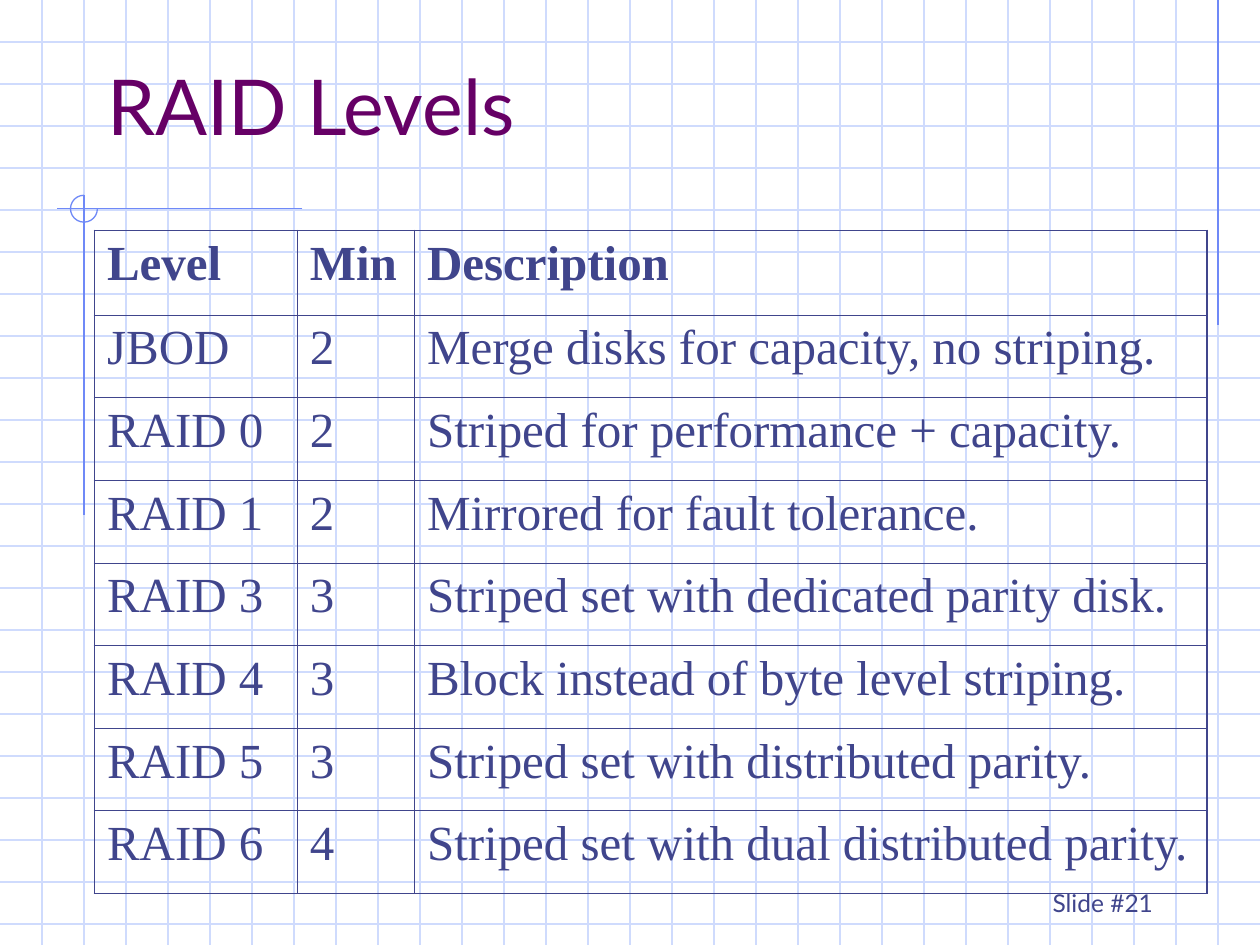
from typing import NamedTuple

from lxml.etree import SubElement
from pptx import Presentation
from pptx.dml.color import RGBColor as RGB
from pptx.enum.shapes import MSO_CONNECTOR as CONN, MSO_SHAPE as SHAPE
from pptx.enum.text import MSO_ANCHOR as ANCHOR, MSO_AUTO_SIZE as AUTO, PP_ALIGN as ALIGN
from pptx.oxml.ns import qn
from pptx.util import Inches, Pt

COLS, ROWS = 30, 22.5
GRID, ACCENT, INK, PLUM = "CFDBFD", "6F89F7", "40458C", "660066"
SANS, SERIF = "Lato", "Times New Roman"
THIN, THICK = 0.45, 1.08


class Rule(NamedTuple):
    """A straight line between two points, in grid columns and rows."""
    x1: float
    y1: float
    x2: float
    y2: float
    color: str


class Level(NamedTuple):
    """One row of the table."""
    name: str
    minimum: str
    description: str


GRID_RULES = [
    *(Rule(0, row, COLS, row, GRID) for row in range(1, 23)),
    *(Rule(col, 0, col, ROWS, GRID) for col in range(1, COLS)),
]
ACCENT_RULES = [
    Rule(29, 0, 29, 7.75, ACCENT),
    Rule(7.2, 4.97, 1.35, 4.97, ACCENT),
    Rule(2, 4.65, 2, 12.27, ACCENT),
]
LEVELS = [
    Level("Level", "Min", "Description"),
    Level("JBOD", "2", "Merge disks for capacity, no striping."),
    Level("RAID 0", "2", "Striped for performance + capacity."),
    Level("RAID 1", "2", "Mirrored for fault tolerance."),
    Level("RAID 3", "3", "Striped set with dedicated parity disk."),
    Level("RAID 4", "3", "Block instead of byte level striping."),
    Level("RAID 5", "3", "Striped set with distributed parity."),
    Level("RAID 6", "4", "Striped set with dual distributed parity."),
]


def rgb(value: str) -> RGB:
    return RGB.from_string(value)


def cells(n: float) -> int:
    return Inches(n / 3)


def style(p, text: str, size: float, font: str, color: str, bold: bool = False) -> None:
    p.text = text
    p.font.size, p.font.name, p.font.bold = Pt(size), font, bold
    p.font.color.rgb = rgb(color)


def draw_rule(s, rule: Rule) -> None:
    sp = s.shapes.add_connector(CONN.STRAIGHT, *map(cells, rule[:4]))
    sp.line.color.rgb = rgb(rule.color)
    sp.line.width = Pt(0.75)
    SubElement(sp.element.spPr, qn("a:effectLst"))


def draw_arc(s) -> None:
    sp = s.shapes.add_shape(SHAPE.ARC, *map(cells, (1.68, 4.65, 0.64, 0.64)))
    sp.adjustments[0], sp.adjustments[1] = 0, 162
    sp.shadow.inherit = False
    sp.fill.background()
    sp.line.color.rgb = rgb(ACCENT)
    sp.line.width = Pt(0.75)


def draw_border(cell, side: str, width: float) -> None:
    ln = SubElement(cell._tc.get_or_add_tcPr(), qn(f"a:ln{side}"), w=str(Pt(width)))
    SubElement(SubElement(ln, qn("a:solidFill")), qn("a:srgbClr"), val=INK)


def draw_table(s, levels: list[Level]) -> None:
    widths = (1.61, 0.93, 6.29)
    heights = [0.67] + [0.656] * (len(levels) - 1)
    table = s.shapes.add_table(len(levels), len(widths), Inches(0.75), Inches(1.83),
                               Inches(sum(widths)), Inches(sum(heights))).table
    table.first_row = table.horz_banding = False
    for column, width in zip(table.columns, widths):
        column.width = Inches(width)
    for i, (level, height) in enumerate(zip(levels, heights)):
        table.rows[i].height = Inches(height)
        for j, text in enumerate(level):
            cell = table.cell(i, j)
            outer = {"L": j == 0, "R": j == len(widths) - 1,
                     "T": i == 0, "B": i == len(levels) - 1}
            for side, is_outer in outer.items():
                draw_border(cell, side, THICK if is_outer else THIN)
            cell.fill.background()
            style(cell.text_frame.paragraphs[0], text, 28, SERIF, INK, bold=i == 0)


def draw_title(s, text: str) -> None:
    sp = s.shapes.title
    sp.left, sp.top, sp.width, sp.height = map(Inches, (0.75, 0.25, 8.5, 1))
    tf = sp.text_frame
    tf.auto_size, tf.vertical_anchor = AUTO.NONE, ANCHOR.BOTTOM
    p = tf.paragraphs[0]
    style(p, text, 44, SANS, PLUM)
    p.alignment = ALIGN.LEFT
    s.shapes._spTree.append(sp.element)


def draw_number(s, text: str) -> None:
    tf = s.shapes.add_textbox(*map(Inches, (7.17, 6.83, 2.08, 0.5))).text_frame
    tf.word_wrap, tf.vertical_anchor = True, ANCHOR.BOTTOM
    p = tf.paragraphs[0]
    style(p, text, 14, SANS, INK)
    p.alignment = ALIGN.RIGHT


def main() -> None:
    """Build the RAID levels slide on a squared-paper background."""
    prs = Presentation()
    prs.slide_width, prs.slide_height = cells(COLS), cells(ROWS)
    s = prs.slides.add_slide(prs.slide_layouts[5])
    for rule in GRID_RULES + ACCENT_RULES:
        draw_rule(s, rule)
    draw_arc(s)
    draw_title(s, "RAID Levels")
    draw_table(s, LEVELS)
    draw_number(s, "Slide #21")
    prs.save("out.pptx")


if __name__ == "__main__":
    main()
